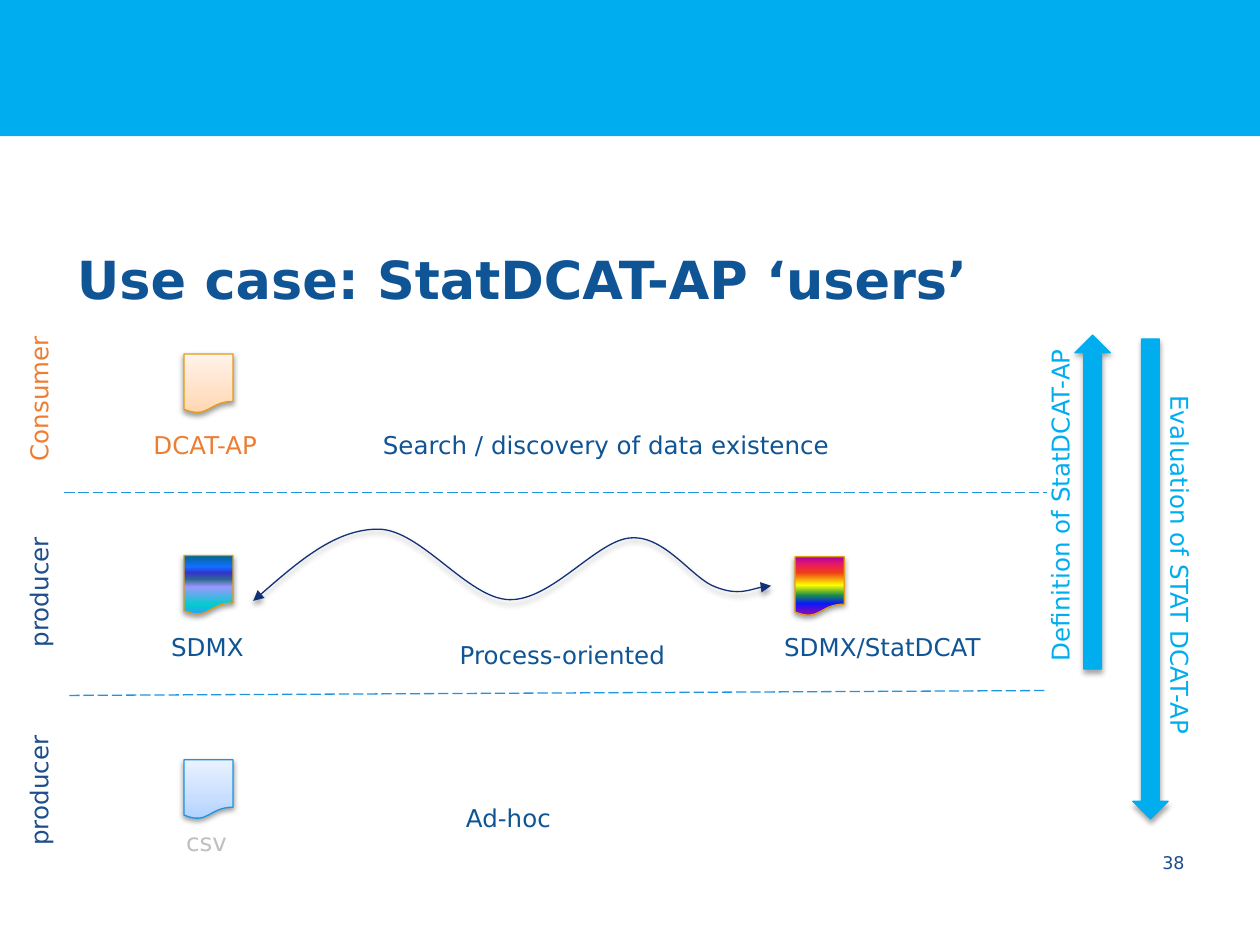
"""Build the StatDCAT-AP users slide."""
from dataclasses import dataclass
from lxml.etree import SubElement
from pptx import Presentation
from pptx.dml.color import RGBColor
from pptx.enum.dml import MSO_LINE
from pptx.enum.shapes import MSO_CONNECTOR, MSO_SHAPE
from pptx.enum.text import MSO_ANCHOR, MSO_AUTO_SIZE, PP_ALIGN
from pptx.oxml.ns import qn
from pptx.util import Pt


@dataclass
class Theme:
    font: str = "DejaVu Sans"
    head: int = 30
    text: int = 14
    small: int = 10
    sky: str = "00AEF0"
    blue: str = "0F5494"
    navy: str = "1D4D8D"
    ink: str = "133176"
    edge: str = "1E95E2"
    gold: str = "E29D18"
    warm: str = "EE7D32"
    grey: str = "BFBFBF"
    black: str = "000000"
    peach: tuple = ((0, "FFD5AF"), (35, "FFE1C7"), (100, "FFF3EA"))
    pale: tuple = ((0, "B0D1FF"), (35, "C7DEFF"), (100, "EAF2FF"))
    ocean: tuple = ((0, "3399FF"), (16, "00CCCC"), (47, "9999FF"), (60, "2E6792"),
                    (71, "3333CC"), (81, "1170FF"), (100, "006699"))
    rainbow: tuple = ((0, "A603AB"), (21, "0819FB"), (35, "1A8D48"), (52, "FFFF00"),
                      (73, "EE3F17"), (88, "E81766"), (100, "A603AB"))


theme = Theme()


def write(frame, words, size, hue, bold=False):
    run = frame.paragraphs[0].add_run()
    run.text = words
    run.font.name = theme.font
    run.font.size = Pt(size)
    run.font.bold = bold
    run.font.color.rgb = RGBColor.from_string(hue)


def finish(shape, hue, alpha, drop):
    shape.line.color.rgb = RGBColor.from_string(hue)
    shape.line.width = Pt(0.75)
    shape.shadow.inherit = False
    effects = shape.element.spPr.find(qn("a:effectLst"))
    shade = SubElement(effects, qn("a:outerShdw"), blurRad=str(Pt(3.1)), dist=str(Pt(drop)),
                       dir="5400000", rotWithShape="0")
    tint = SubElement(shade, qn("a:srgbClr"), val=theme.black)
    SubElement(tint, qn("a:alpha"), val=str(alpha * 1000))


deck = Presentation()
deck.slide_width, deck.slide_height = Pt(720), Pt(540)
slide = deck.slides.add_slide(deck.slide_layouts[5])
shapes = slide.shapes

band = shapes.add_shape(MSO_SHAPE.RECTANGLE, 0, 0, Pt(720), Pt(77.8))
band.fill.solid()
band.fill.fore_color.rgb = RGBColor.from_string(theme.sky)
band.line.fill.background()
band.shadow.inherit = False

title = shapes.title
title.left, title.top, title.width, title.height = Pt(36.7), Pt(122.4), Pt(648), Pt(73.4)
frame = title.text_frame
frame.auto_size = MSO_AUTO_SIZE.NONE
frame.vertical_anchor = MSO_ANCHOR.MIDDLE
frame.paragraphs[0].alignment = PP_ALIGN.LEFT
props = frame.paragraphs[0]._p.get_or_add_pPr()
props.set("marL", str(Pt(28)))
props.set("indent", str(Pt(-28)))
write(frame, "Use case: StatDCAT-AP ‘users’", theme.head, theme.blue, True)

for left, start, end in ((36.7, 281.5, 281.5), (39.6, 397.4, 394.6)):
    rule = shapes.add_connector(MSO_CONNECTOR.STRAIGHT, Pt(left), Pt(start), Pt(598.3), Pt(end))
    rule.line.color.rgb = RGBColor.from_string(theme.edge)
    rule.line.width = Pt(0.75)
    rule.line.dash_style = MSO_LINE.LONG_DASH
    SubElement(rule.element.spPr, qn("a:effectLst"))

points = (
    (167.8, 323.3), (191.5, 302.4), (216, 302.4),
    (240.5, 302.4), (267.1, 342), (290.9, 342.7),
    (315.4, 343.4), (341.3, 308.2), (360.7, 307.4),
    (380.2, 306), (396, 331.2), (409, 335.5),
    (421.9, 340.6), (434.2, 334.8), (440.6, 334.8),
)
pen = shapes.build_freeform(Pt(144.7), Pt(343.4))
pen.add_line_segments([(Pt(x), Pt(y)) for x, y in points], close=False)
wave = pen.convert_to_shape()
wave.fill.background()
finish(wave, theme.ink, 35, 1.8)
trace = next(wave.element.iter(qn("a:path")))
steps = trace.findall(qn("a:lnTo"))
for first in range(0, len(steps), 3):
    curve = SubElement(trace, qn("a:cubicBezTo"))
    for step in steps[first:first + 3]:
        curve.append(step[0])
        trace.remove(step)
for tip in ("a:headEnd", "a:tailEnd"):
    SubElement(wave.element.spPr.find(qn("a:ln")), qn(tip), type="triangle")

files = (
    (105.1, 202.3, theme.peach, theme.gold),
    (105.1, 317.5, theme.ocean, theme.gold),
    (454.3, 318.2, theme.rainbow, theme.gold),
    (105.1, 434.2, theme.pale, theme.edge),
)
for left, top, stops, edge in files:
    sheet = shapes.add_shape(MSO_SHAPE.FLOWCHART_DOCUMENT, Pt(left), Pt(top), Pt(28.1), Pt(33.8))
    sheet.fill.gradient()
    sheet.fill.gradient_angle = 90
    blend = next(sheet.element.spPr.iter(qn("a:gsLst")))
    for stop in list(blend):
        blend.remove(stop)
    for place, hue in stops:
        stop = SubElement(blend, qn("a:gs"), pos=str(place * 1000))
        SubElement(stop, qn("a:srgbClr"), val=hue)
    finish(sheet, edge, 38, 1.6)

for left, top, height, turn in ((614.2, 191.5, 190.8, 0), (647.3, 193.7, 274.3, 180)):
    arrow = shapes.add_shape(MSO_SHAPE.UP_ARROW, Pt(left), Pt(top), Pt(20.2), Pt(height))
    arrow.rotation = turn
    arrow.fill.solid()
    arrow.fill.fore_color.rgb = RGBColor.from_string(theme.sky)
    finish(arrow, theme.sky, 35, 1.8)

labels = (
    ("DCAT-AP", 80.6, 242.3, 76.3, 0, theme.warm),
    ("Search / discovery of data existence", 211.7, 242.3, 272.9, 0, theme.blue),
    ("SDMX", 90.7, 357.8, 56.9, 0, theme.blue),
    ("Process-oriented", 255.6, 362.2, 138.2, 0, theme.blue),
    ("SDMX/StatDCAT", 441, 357.8, 131, 0, theme.blue),
    ("csv", 99.2, 469, 40, 0, theme.grey),
    ("Ad-hoc", 259.2, 455.4, 69.1, 0, theme.blue),
    ("Consumer", -20.9, 215.3, 86.4, 270, theme.warm),
    ("producer", -16.6, 325.8, 77.8, 270, theme.navy),
    ("producer", -16.6, 439.2, 77.8, 270, theme.navy),
    ("Definition of StatDCAT-AP", 507.6, 274.3, 196.6, 270, theme.sky),
    ("Evaluation of STAT DCAT-AP", 531.1, 349.5, 285.8, 90, theme.sky),
)
for words, left, top, width, turn, hue in labels:
    label = shapes.add_textbox(Pt(left), Pt(top), Pt(width), Pt(24.5))
    label.rotation = turn
    label.text_frame.word_wrap = turn == 90
    label.text_frame.auto_size = MSO_AUTO_SIZE.SHAPE_TO_FIT_TEXT
    write(label.text_frame, words, theme.text, hue)

number = shapes.add_textbox(Pt(516.2), Pt(483.1), Pt(167.8), Pt(37.4))
number.text_frame.word_wrap = True
number.text_frame.paragraphs[0].alignment = PP_ALIGN.RIGHT
write(number.text_frame, "38", theme.small, theme.navy)

deck.save("out.pptx")
